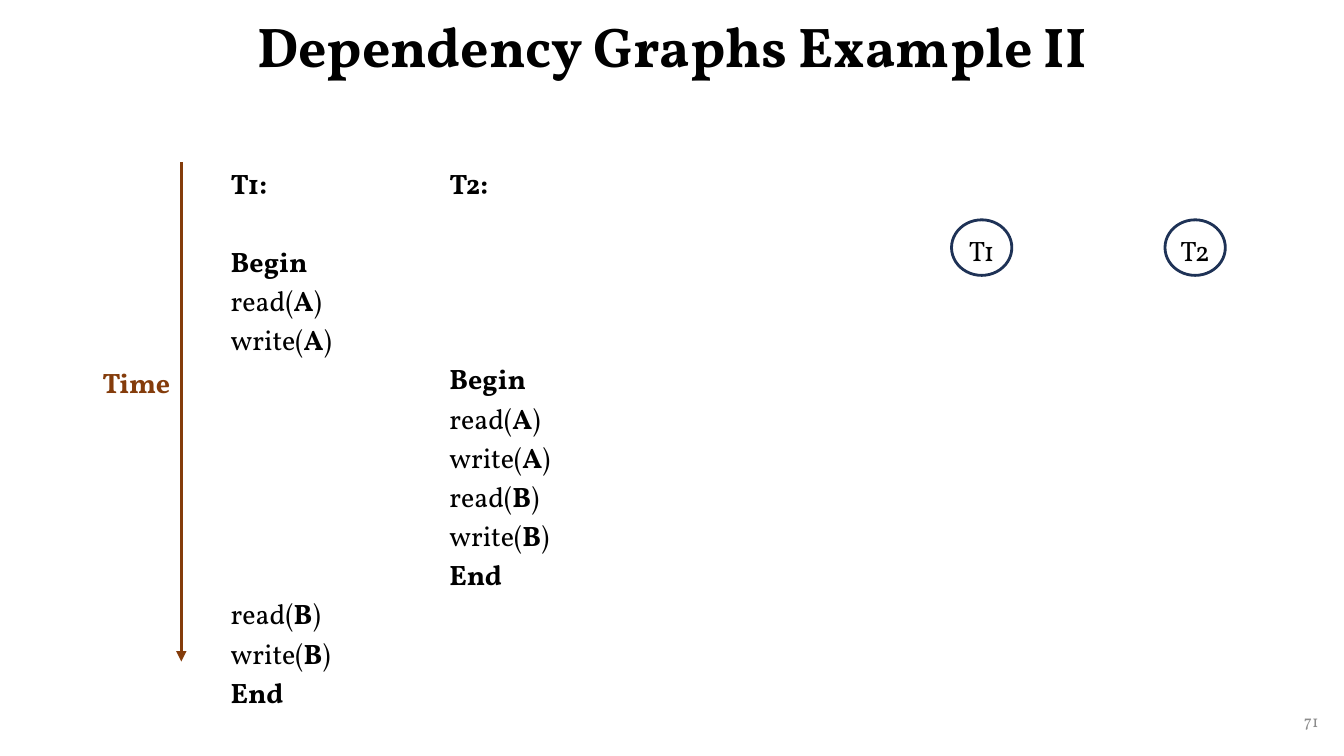
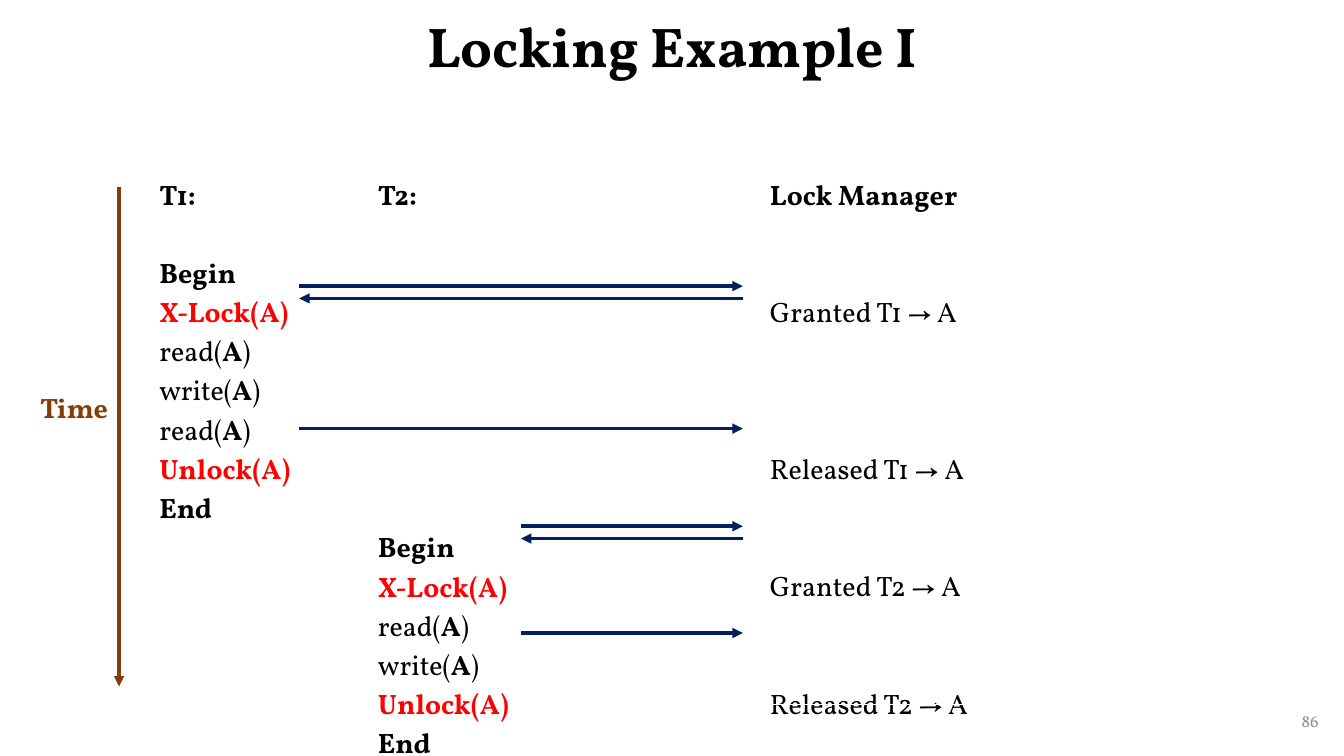
import pptx
import pptx.util
import pptx.dml.color
import pptx.enum.shapes
import pptx.enum.text
from lxml import etree

Cm, Pt = pptx.util.Cm, pptx.util.Pt
Align = pptx.enum.text.PP_ALIGN
Shape = pptx.enum.shapes.MSO_SHAPE
Anchor = pptx.enum.text.MSO_ANCHOR

BLACK, WHITE, RED = "000000", "FFFFFF", "FF0000"
GREY, BROWN, NAVY, RING = "8C8C8C", "843C0B", "002060", "1E3256"
FACE = "Vollkorn"
PITCH = 28  # points from one schedule line to the next


def color(code):
    return pptx.dml.color.RGBColor.from_string(code)


class Deck:
    def __init__(self):
        self.prs = pptx.Presentation()
        self.prs.slide_width, self.prs.slide_height = Cm(33.87), Cm(19.05)
        self.slide = None

    def start(self, title, number):
        """Add a slide with its title and number."""
        self.slide = self.prs.slides.add_slide(self.prs.slide_layouts[6])
        head = self.text(title, 2.33, 0, 29.21, 2.51, size=40, bold=True,
                         align=Align.CENTER, anchor=Anchor.MIDDLE)
        head.line_spacing = 0.9
        self.text(number, 25.86, 17.65, 7.62, 1.02, size=12, tint=GREY,
                  align=Align.RIGHT, anchor=Anchor.MIDDLE)

    def style(self, para, size=20, tint=BLACK, bold=False, align=Align.LEFT):
        para.alignment = align
        font = para.font
        font.name, font.size, font.bold = FACE, Pt(size), bold
        font.color.rgb = color(tint)

    def text(self, words, x, y, w, h, anchor=Anchor.TOP, **look):
        frame = self.slide.shapes.add_textbox(Cm(x), Cm(y), Cm(w), Cm(h)).text_frame
        frame.word_wrap, frame.vertical_anchor = True, anchor
        para = frame.paragraphs[0]
        para.text = words
        self.style(para, **look)
        return para

    def steps(self, frame, lines):
        """Write lines; an empty one is a gap, and stars enclose bold."""
        gap, para = 0, None
        for line in lines:
            if not line:
                gap += 1
                continue
            para = frame.add_paragraph() if para else frame.paragraphs[0]
            parts = line.split("*")
            if gap:
                para.space_before = Pt(gap * PITCH)
            self.style(para, tint=RED if "lock(" in line.lower() else BLACK,
                       bold=not parts[0])
            for i, part in enumerate(parts):
                if part:
                    run = para.add_run()
                    run.text = part
                    if parts[0] and len(parts) > 1:
                        run.font.bold = i % 2 == 1
            gap = 0

    def table(self, x, y, h, widths, columns):
        """Add a one-row table with a list of steps in each column."""
        grid = self.slide.shapes.add_table(
            1, len(columns), Cm(x), Cm(y), Cm(sum(widths)), Cm(h)).table
        grid.first_row = grid.horz_banding = False
        for i, (width, lines) in enumerate(zip(widths, columns)):
            grid.columns[i].width = Cm(width)
            cell = grid.cell(0, i)
            cell.fill.background()
            self.steps(cell.text_frame, lines)

    def arrow(self, x1, y1, x2, y2, tint=NAVY):
        link = self.slide.shapes.add_connector(
            pptx.enum.shapes.MSO_CONNECTOR.STRAIGHT, Cm(x1), Cm(y1), Cm(x2), Cm(y2))
        link.line.color.rgb, link.line.width = color(tint), Pt(2.5)
        line = link.line._get_or_add_ln()
        space = "{" + pptx.oxml.ns.nsdecls("a").split('"')[1] + "}"
        etree.SubElement(line, space + "tailEnd", type="triangle")
        etree.SubElement(line.getparent(), space + "effectLst")

    def time(self, x, y):
        """Add the time axis with its label on the left."""
        self.arrow(x, y, x, y + 12.58, BROWN)
        self.text("Time", x - 2.24, y + 5, 2.26, 1.12, tint=BROWN, bold=True)

    def node(self, words, x, y):
        ring = self.slide.shapes.add_shape(Shape.OVAL, Cm(x), Cm(y), Cm(1.52), Cm(1.4))
        ring.shadow.inherit = False
        ring.fill.background()
        ring.line.color.rgb, ring.line.width = color(RING), Pt(2)
        frame = ring.text_frame
        frame.word_wrap, frame.vertical_anchor = False, Anchor.MIDDLE
        frame.margin_left = frame.margin_right = frame.margin_bottom = 0
        frame.margin_top = Cm(0.15)
        frame.paragraphs[0].text = words
        self.style(frame.paragraphs[0], align=Align.CENTER)


def access(item):
    return [f"read(*{item}*)", f"write(*{item}*)"]


def main():
    deck = Deck()
    begin, end = "*Begin*", "*End*"
    lock, free = "*X-Lock(A)*", "*Unlock(A)*"
    pair = (5.51, 5.21)

    # Dependency graph: schedule and nodes
    deck.start("Dependency Graphs Example II", "71")
    first = ["*T1:*", "", begin, *access("A"), *[""] * 6, *access("B"), end]
    second = ["*T2:*", *[""] * 4, begin, *access("A"), *access("B"), end]
    deck.table(5.56, 4.09, 11.76, pair, [first, second])
    deck.time(4.57, 4.09)
    for name, x in (("T1", 23.98), ("T2", 29.36)):
        deck.node(name, x, 5.54)

    # Locking: schedule and lock manager
    deck.start("Locking Example I", "86")
    first = ["*T1:*", "", begin, lock, *access("A"), "read(*A*)", free, end]
    second = ["*T2:*", *[""] * 8, begin, lock, *access("A"), free, end]
    deck.table(3.76, 4.37, 8.53, pair, [first, second])
    deck.time(3, 4.72)
    replies = ["*Lock Manager*", "", "", "Granted T1 → A", *[""] * 3,
               "Released T1 → A", "", "", "Granted T2 → A", "", "",
               "Released T2 → A"]
    deck.table(19.15, 4.37, 8.53, [6.96], [replies])

    # Requests to the lock manager, its grants, and the releases
    right = 18.72
    for left, ask, release in ((7.54, 7.21, 10.8), (13.13, 13.26, 15.95)):
        deck.arrow(left, ask, right, ask)
        deck.arrow(right, ask + 0.31, left, ask + 0.31)
        deck.arrow(left, release, right, release)

    deck.prs.save("out.pptx")


if __name__ == "__main__":
    main()
